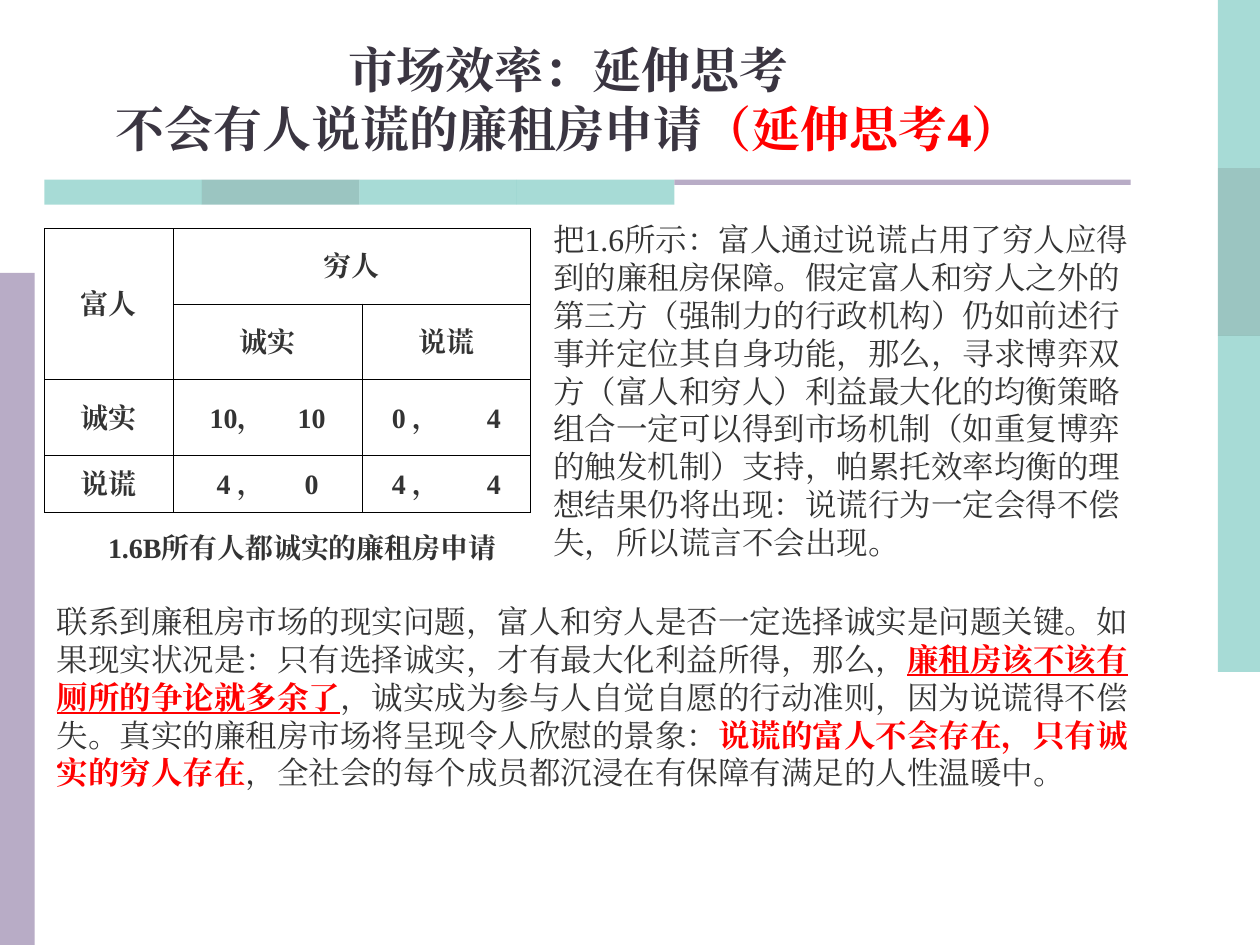
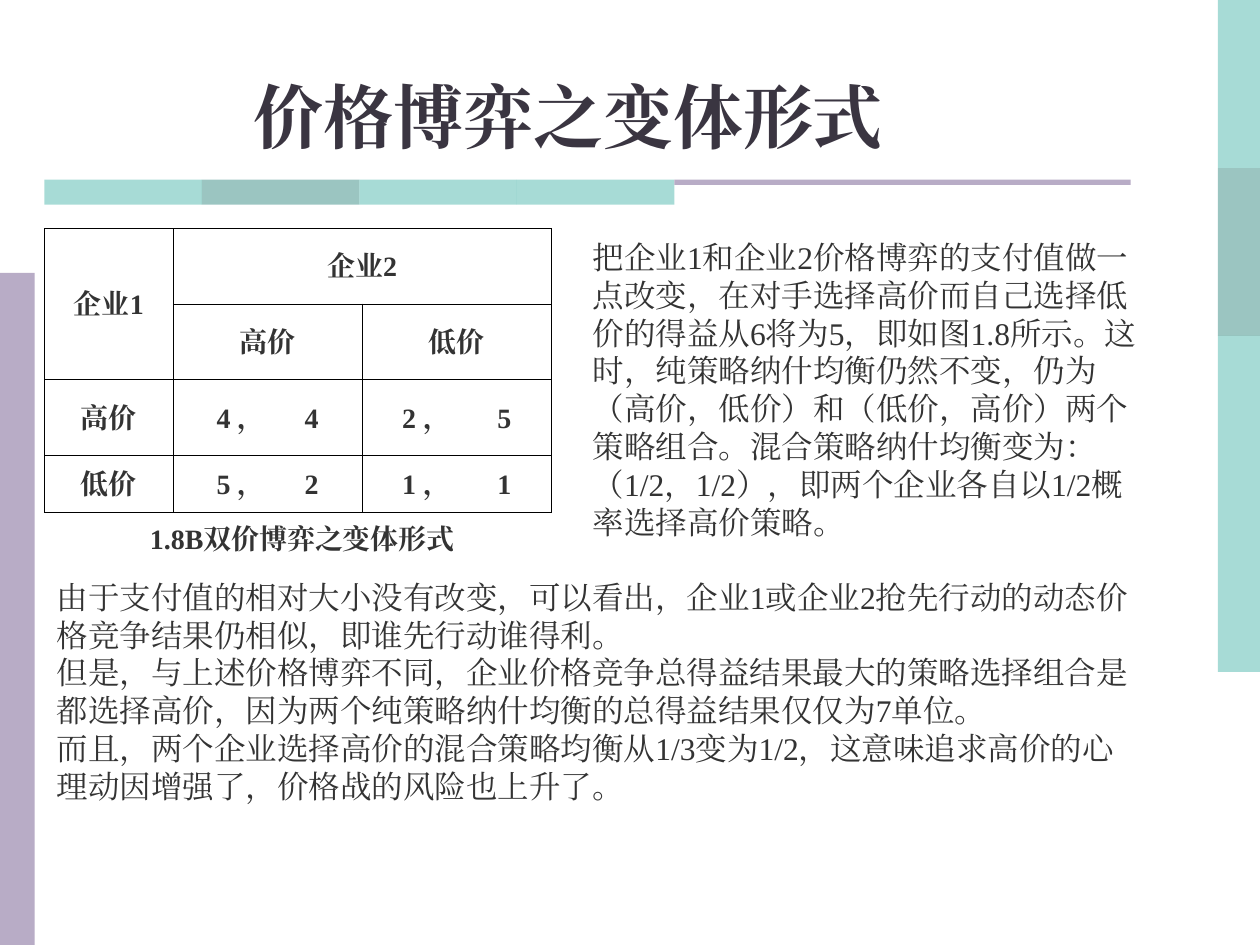
from typing import NamedTuple

from lxml.etree import SubElement
from pptx import Presentation
from pptx.dml.color import RGBColor
from pptx.enum.lang import MSO_LANGUAGE_ID as Lang
from pptx.enum.shapes import MSO_SHAPE as Shape
from pptx.enum.text import MSO_ANCHOR as Anchor, PP_ALIGN as Align
from pptx.oxml.ns import qn
from pptx.util import Pt

FONT = "Times New Roman"
INK, TITLE, RED, BLACK = "333333", "3A3541", "FF0000", "000000"
TEAL, DARK_TEAL, LILAC = "51B9AF", "398D85", "B8ACC6"
TEAL_BAND = [TEAL, DARK_TEAL, TEAL, TEAL]
LEFT, BAND_TOP = 25.4, 102.7
ROW_HEIGHTS = [43.2, 43.2, 43.2, 32.4]
SECOND_PAYOFF = [0, 50.3, 54.3]
DIGIT = 8


class Box(NamedTuple):
    x: float
    y: float
    w: float
    h: float


class Run(NamedTuple):
    text: str
    color: str | None = None
    bold: bool | None = None
    underline: bool = False


class Game(NamedTuple):
    players: tuple[str, str]
    moves: tuple[str, str]
    payoffs: list[list[tuple[str, str]]]
    widths: list[float]


class Page(NamedTuple):
    title: list[list[Run]]
    title_size: float
    game: Game
    caption: str
    caption_y: float
    side: str
    side_box: Box
    below: list[list[Run]]
    below_box: Box


def rgb(value: str) -> RGBColor:
    return RGBColor.from_string(value)


def write(tf, paragraphs: list[list[Run]], size: float = 18, color: str = INK,
          bold: bool = False, align=Align.LEFT, anchor=Anchor.TOP) -> None:
    tf.word_wrap = True
    tf.vertical_anchor = anchor
    for i, runs in enumerate(paragraphs):
        p = tf.add_paragraph() if i else tf.paragraphs[0]
        p.alignment = align
        p.line_spacing = Pt(size * 1.2)
        for run in runs:
            r = p.add_run()
            r.text = run.text
            font = r.font
            font.name, font.size = FONT, Pt(size)
            font.bold = bold if run.bold is None else run.bold
            font.underline = run.underline
            font.color.rgb = rgb(run.color or color)
            font.language_id = Lang.SIMPLIFIED_CHINESE
            SubElement(r._r.rPr, qn("a:ea"), typeface=FONT)


def add_text(s, box: Box, paragraphs: list[list[Run]], **fmt) -> None:
    sp = s.shapes.add_textbox(*map(Pt, box))
    write(sp.text_frame, paragraphs, **fmt)


def add_rect(s, box: Box, color: str, alpha: int = 100) -> None:
    sp = s.shapes.add_shape(Shape.RECTANGLE, *map(Pt, box))
    sp.shadow.inherit = False
    sp.line.fill.background()
    sp.fill.solid()
    sp.fill.fore_color.rgb = rgb(color)
    if alpha < 100:
        clr = sp.fill._xPr.find(f"{qn('a:solidFill')}/{qn('a:srgbClr')}")
        SubElement(clr, qn("a:alpha"), val=str(alpha * 1000))


def add_bands(s) -> None:
    for i, color in enumerate(TEAL_BAND):
        add_rect(s, Box(696, i * 96, 24, 96), color, 50)
        add_rect(s, Box(LEFT + i * 90, BAND_TOP, 90, 14.2), color, 50)
    add_rect(s, Box(0, 156, 19.8, 384), LILAC)
    add_rect(s, Box(LEFT + 360, BAND_TOP, 260.8, 3), LILAC)


def style_cell(cell) -> None:
    cell.fill.background()
    tc_pr = cell._tc.get_or_add_tcPr()
    for i, side in enumerate(("lnL", "lnR", "lnT", "lnB")):
        ln = SubElement(tc_pr, qn(f"a:{side}"), w=str(Pt(0.45)))
        fill = SubElement(ln, qn("a:solidFill"))
        SubElement(fill, qn("a:srgbClr"), val=BLACK)
        tc_pr.insert(i, ln)


def write_cell(cell, text: str, align=Align.CENTER) -> None:
    write(cell.text_frame, [[Run(text)]], size=16, bold=True, align=align)
    cell.vertical_anchor = Anchor.MIDDLE


def write_payoff(cell, pair: tuple[str, str], width: float, second: float) -> None:
    first, last = pair
    p_pr = cell.text_frame.paragraphs[0]._p.get_or_add_pPr()
    tabs = SubElement(p_pr, qn("a:tabLst"))
    SubElement(tabs, qn("a:tab"), pos=str(Pt(second)), algn="l")
    comma = " ，" if len(first) == 1 else "，"
    write_cell(cell, f"{first}{comma}\t{last}", Align.LEFT)
    cell.margin_left = Pt((width - second - DIGIT * len(last)) / 2)
    cell.margin_right = 0
    p_pr.append(tabs)


def add_game(s, game: Game) -> None:
    box = Box(LEFT, 130.5, sum(game.widths), sum(ROW_HEIGHTS))
    table = s.shapes.add_table(4, 3, *map(Pt, box)).table
    table.first_row = table.horz_banding = False
    for col, width in zip(table.columns, game.widths):
        col.width = Pt(width)
    for row, height in zip(table.rows, ROW_HEIGHTS):
        row.height = Pt(height)
    for cell in table.iter_cells():
        style_cell(cell)
    table.cell(0, 0).merge(table.cell(1, 0))
    table.cell(0, 1).merge(table.cell(0, 2))
    for col, player in enumerate(game.players):
        write_cell(table.cell(0, col), player)
    for i, move in enumerate(game.moves):
        write_cell(table.cell(1, i + 1), move)
        write_cell(table.cell(i + 2, 0), move)
        for col, pair in enumerate(game.payoffs[i], start=1):
            write_payoff(table.cell(i + 2, col), pair, game.widths[col], SECOND_PAYOFF[col])


def add_page(prs, page: Page) -> None:
    s = prs.slides.add_slide(prs.slide_layouts[6])
    add_bands(s)
    add_text(s, Box(0, 15.3, 649.4, 78.3), page.title, size=page.title_size,
             color=TITLE, bold=True, align=Align.CENTER, anchor=Anchor.BOTTOM)
    add_game(s, page.game)
    add_text(s, Box(42.5, page.caption_y, 260.6, 26.6), [[Run(page.caption)]],
             size=16, bold=True, align=Align.CENTER, anchor=Anchor.MIDDLE)
    add_text(s, page.side_box, [[Run(page.side)]])
    add_text(s, page.below_box, page.below)


PAGES = [
    Page(
        title=[[Run("市场效率：延伸思考")],
               [Run("不会有人说谎的廉租房申请"), Run("（延伸思考4）", RED)]],
        title_size=28,
        game=Game(("富人", "穷人"), ("诚实", "说谎"),
                  [[("10", "10"), ("0", "4")], [("4", "0"), ("4", "4")]],
                  [73.6, 108, 96.2]),
        caption="1.6B所有人都诚实的廉租房申请",
        caption_y=299.5,
        side="把1.6所示：富人通过说谎占用了穷人应得到的廉租房保障。假定富人和穷人之外的"
             "第三方（强制力的行政机构）仍如前述行事并定位其自身功能，那么，寻求博弈双"
             "方（富人和穷人）利益最大化的均衡策略组合一定可以得到市场机制（如重复博弈"
             "的触发机制）支持，帕累托效率均衡的理想结果仍将出现：说谎行为一定会得不偿"
             "失，所以谎言不会出现。",
        side_box=Box(309, 122.4, 351.4, 201.6),
        below=[[
            Run("联系到廉租房市场的现实问题，富人和穷人是否一定选择诚实是问题关键。"
                "如果现实状况是：只有选择诚实，才有最大化利益所得，那么，"),
            Run("廉租房该不该有厕所的争论就多余了", RED, True, True),
            Run("，诚实成为参与人自觉自愿的行动准则，因为说谎得不偿失。"
                "真实的廉租房市场将呈现令人欣慰的景象："),
            Run("说谎的富人不会存在，只有诚实的穷人存在", RED, True),
            Run("，全社会的每个成员都沉浸在有保障有满足的人性温暖中。"),
        ]],
        below_box=Box(LEFT, 340.6, 635, 115.2),
    ),
    Page(
        title=[[Run("价格博弈之变体形式")]],
        title_size=40,
        game=Game(("企业1", "企业2"), ("高价", "低价"),
                  [[("4", "4"), ("2", "5")], [("5", "2"), ("1", "1")]],
                  [73.6, 108, 108]),
        caption="1.8B双价博弈之变体形式",
        caption_y=294.5,
        side="把企业1和企业2价格博弈的支付值做一点改变，在对手选择高价而自己选择"
             "低价的得益从6将为5，即如图1.8所示。这时，纯策略纳什均衡仍然不变，"
             "仍为（高价，低价）和（低价，高价）两个策略组合。混合策略纳什均衡变"
             "为：（1/2，1/2），即两个企业各自以1/2概率选择高价策略。",
        side_box=Box(331.6, 132.5, 329, 180),
        below=[
            [Run("由于支付值的相对大小没有改变，可以看出，企业1或企业2抢先行动的动态"
                 "价格竞争结果仍相似，即谁先行动谁得利。")],
            [Run("但是，与上述价格博弈不同，企业价格竞争总得益结果最大的策略选择组合是"
                 "都选择高价，因为两个纯策略纳什均衡的总得益结果仅仅为7单位。")],
            [Run("而且，两个企业选择高价的混合策略均衡从1/3变为1/2，这意味追求高价的"
                 "心理动因增强了，价格战的风险也上升了。")],
        ],
        below_box=Box(LEFT, 326.6, 635, 136.8),
    ),
]


def main() -> None:
    prs = Presentation()
    prs.slide_width, prs.slide_height = Pt(720), Pt(540)
    for page in PAGES:
        add_page(prs, page)
    prs.save("out.pptx")


if __name__ == "__main__":
    main()
